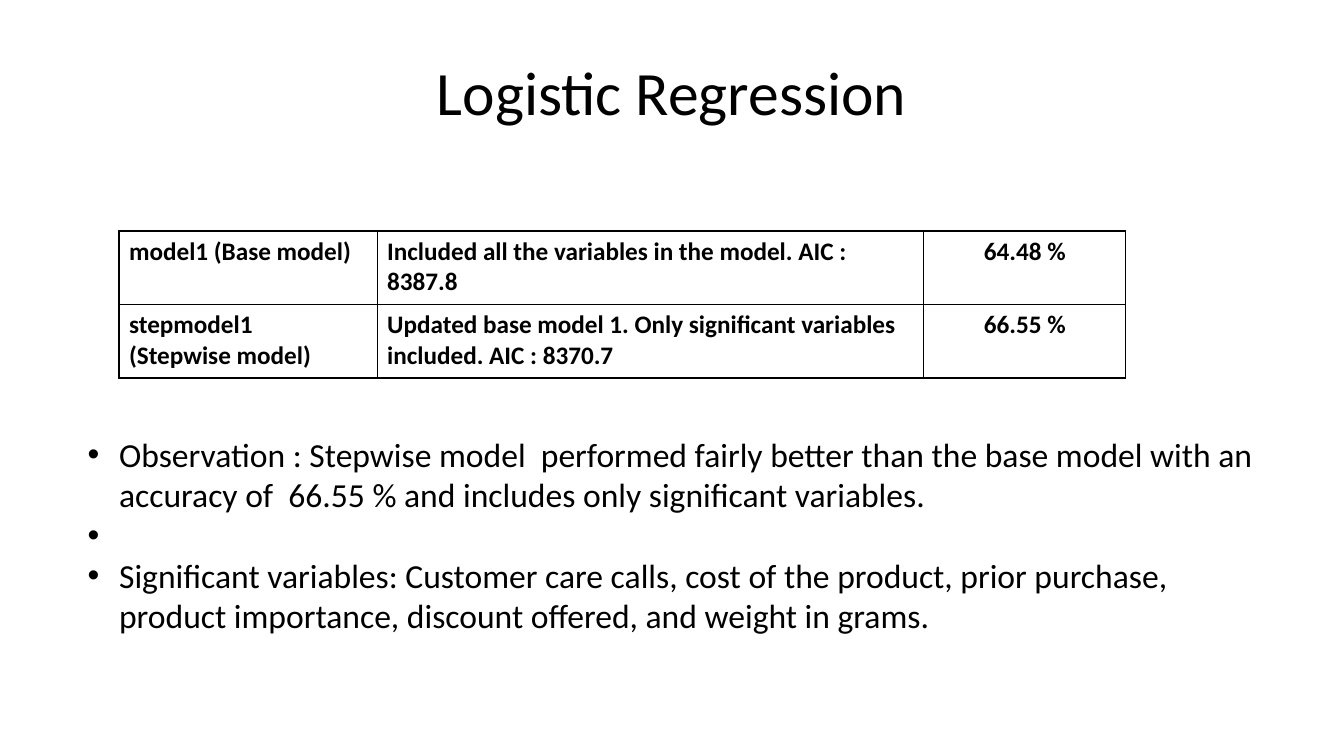
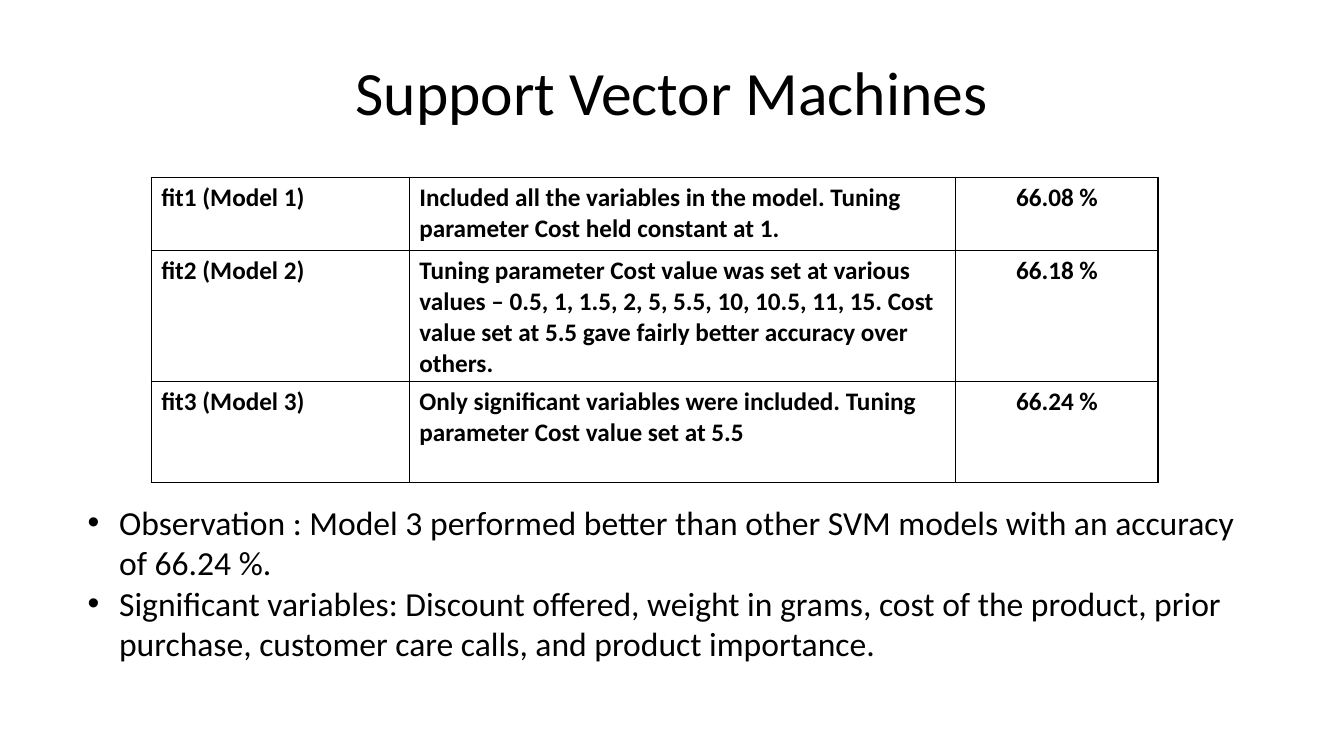
from lxml.etree import SubElement
from pptx import Presentation
from pptx.dml.color import RGBColor
from pptx.enum.text import PP_ALIGN as Align
from pptx.oxml.ns import qn
from pptx.util import Pt

FONT = "Calibri"
BLACK = "000000"
COLUMN_WIDTHS = (184.4, 390.4, 144.4)
INDENT = 22.5

SLIDES = [
    {
        "title": "Logistic Regression",
        "table_at": (85, 165),
        "row_heights": (52.5, 52.5),
        "models": [
            ("model1 (Base model)",
             "Included all the variables in the model. AIC : 8387.8",
             "64.48 %"),
            ("stepmodel1\n(Stepwise model)",
             "Updated base model 1. Only significant variables included. AIC : 8370.7",
             "66.55 %"),
        ],
        "notes_box": (55.5, 306.5, 850, 174),
        "findings": [
            "Observation : Stepwise model  performed fairly better than the base model "
            "with an accuracy of  66.55 % and includes only significant variables.",
            " ",
            "Significant variables: Customer care calls, cost of the product, prior purchase, "
            "product importance, discount offered, and weight in grams.",
        ],
    },
    {
        "title": "Support Vector Machines",
        "table_at": (108, 126.7),
        "row_heights": (52.5, 93.5, 72),
        "models": [
            ("fit1 (Model 1)",
             "Included all the variables in the model. Tuning parameter Cost held constant at 1.",
             "66.08 %"),
            ("fit2 (Model 2)",
             "Tuning parameter Cost value was set at various values – 0.5, 1, 1.5, 2, 5, 5.5, "
             "10, 10.5, 11, 15. Cost value set at 5.5 gave fairly better accuracy over others.",
             "66.18 %"),
            ("fit3 (Model 3)",
             "Only significant variables were included. Tuning parameter Cost value set at 5.5",
             "66.24 %"),
        ],
        "notes_box": (55.5, 355, 850, 145),
        "findings": [
            "Observation : Model 3 performed better than other SVM models "
            "with an accuracy of 66.24 %.",
            "Significant variables: Discount offered, weight in grams, cost of the product, "
            "prior purchase, customer care calls, and product importance.",
        ],
    },
]


def rgb(color):
    """Turn a hex string into a colour."""
    return RGBColor.from_string(color)


def style_text(tf, size, bold=False, align=Align.LEFT):
    """Format every paragraph and run of a text frame."""
    for p in tf.paragraphs:
        p.alignment = align
        for r in p.runs:
            r.font.name = FONT
            r.font.size = Pt(size)
            r.font.bold = bold
            r.font.color.rgb = rgb(BLACK)


def add_text(s, box, text, size, align=Align.LEFT):
    """Add a wrapping text box and return its text frame."""
    tf = s.shapes.add_textbox(*map(Pt, box)).text_frame
    tf.word_wrap = True
    tf.text = text
    style_text(tf, size, align=align)
    return tf


def add_title(s, text):
    """Add the centred slide title."""
    tf = add_text(s, (66, 41, 828, 104.4), text, 44, Align.CENTER)
    tf.paragraphs[0].line_spacing = 0.9


def add_bullets(s, box, items):
    """Add a bulleted list with a hanging indent."""
    tf = add_text(s, box, "\n".join(items), 24)
    for p in tf.paragraphs:
        pPr = p._p.get_or_add_pPr()
        pPr.set("marL", str(Pt(INDENT)))
        pPr.set("indent", str(-Pt(INDENT)))
        SubElement(pPr, qn("a:buFont"), typeface="Arial")
        SubElement(pPr, qn("a:buChar"), char="•")


def add_borders(cell):
    """Draw a thin line on all four sides of a cell."""
    tcPr = cell._tc.get_or_add_tcPr()
    for side in ("lnL", "lnR", "lnT", "lnB"):
        ln = SubElement(tcPr, qn(f"a:{side}"), w=str(Pt(1)))
        fill = SubElement(ln, qn("a:solidFill"))
        SubElement(fill, qn("a:srgbClr"), val=BLACK)


def add_model_table(s, at, row_heights, models):
    """Add the table of models, descriptions and accuracies."""
    size = (sum(COLUMN_WIDTHS), sum(row_heights))
    frame = s.shapes.add_table(len(models), len(COLUMN_WIDTHS), *map(Pt, at + size))
    table = frame.table
    table.first_row = table.horz_banding = False
    for column, width in zip(table.columns, COLUMN_WIDTHS):
        column.width = Pt(width)
    for row, height, model in zip(table.rows, row_heights, models):
        row.height = Pt(height)
        for i, (cell, text) in enumerate(zip(row.cells, model)):
            cell.margin_bottom = 0
            add_borders(cell)
            cell.fill.background()
            cell.text_frame.text = text
            align = Align.CENTER if i == len(model) - 1 else Align.LEFT
            style_text(cell.text_frame, 18, True, align)


def main():
    """Build and save the presentation."""
    prs = Presentation()
    prs.slide_width, prs.slide_height = Pt(960), Pt(540)
    for content in SLIDES:
        s = prs.slides.add_slide(prs.slide_layouts[6])
        add_title(s, content["title"])
        add_model_table(s, content["table_at"], content["row_heights"], content["models"])
        add_bullets(s, content["notes_box"], content["findings"])
    prs.save("out.pptx")


if __name__ == "__main__":
    main()
